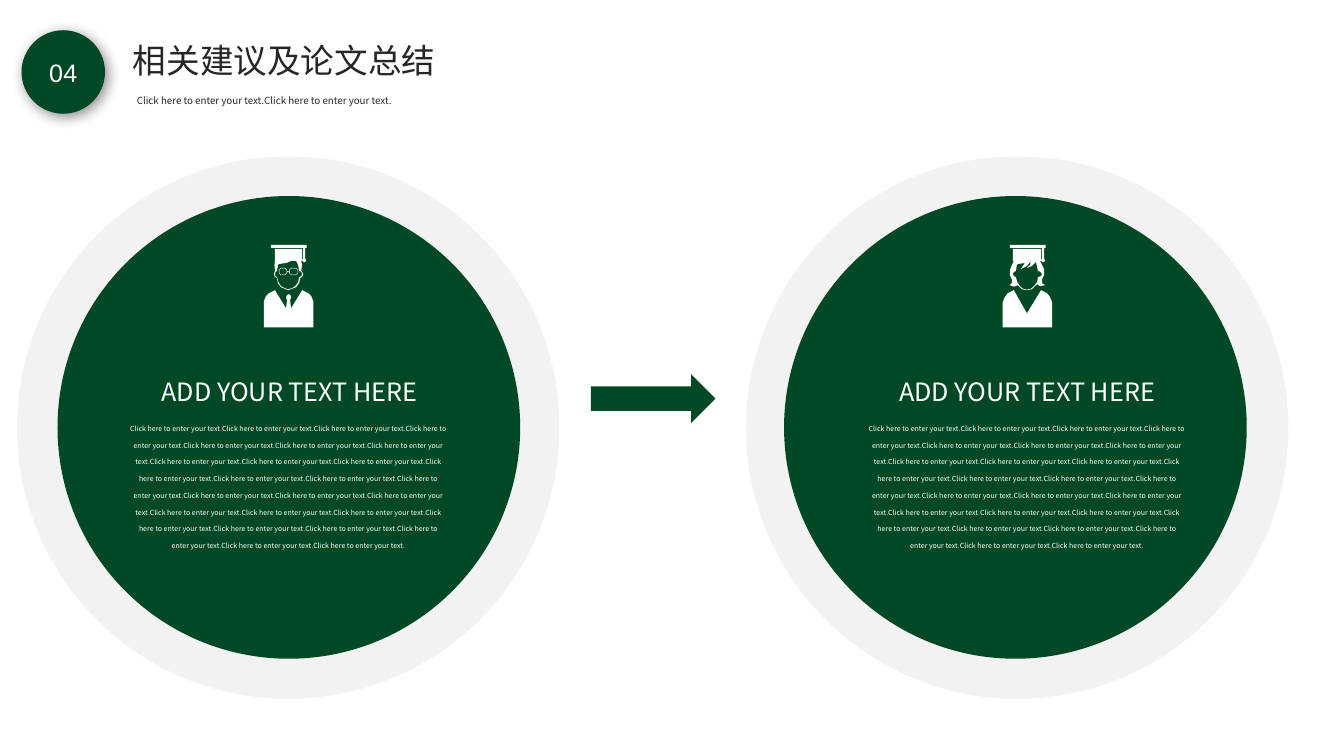
"""Build the summary slide: two graduate discs joined by an arrow."""
import lxml.etree
import pptx
import pptx.dml.color
import pptx.enum.shapes
import pptx.enum.text
import pptx.oxml.ns
import pptx.util

Cm = pptx.util.Cm
Pt = pptx.util.Pt
SHAPES = pptx.enum.shapes.MSO_SHAPE
ALIGN = pptx.enum.text.PP_ALIGN
GROW = pptx.enum.text.MSO_AUTO_SIZE.SHAPE_TO_FIT_TEXT
qn = pptx.oxml.ns.qn

COLORS = {"green": "014924", "ring": "F2F2F2", "white": "FFFFFF", "ink": "262626", "shadow": "000000"}
SANS = "Noto Sans CJK SC"
SENTENCE = "Click here to enter your text."


def paint(shape, color):
    """Give a shape a plain fill without outline or shadow."""
    shape.shadow.inherit = False
    shape.fill.solid()
    shape.fill.fore_color.rgb = pptx.dml.color.RGBColor.from_string(COLORS[color])
    shape.line.fill.background()
    return shape


def write(shape, text, color, frame_format, paragraph_format, font_format):
    """Put one formatted paragraph into a shape."""
    frame = shape.text_frame
    paragraph = frame.paragraphs[0]
    run = paragraph.add_run()
    run.text = text
    for target, values in ((frame, frame_format), (paragraph, paragraph_format), (run.font, font_format)):
        for name, value in values.items():
            setattr(target, name, value)
    run.font.color.rgb = pptx.dml.color.RGBColor.from_string(COLORS[color])
    lxml.etree.SubElement(run._r.get_or_add_rPr(), qn("a:ea"), typeface=font_format["name"])


presentation = pptx.Presentation()
presentation.slide_width = Cm(33.87)
presentation.slide_height = Cm(19.05)
slide = presentation.slides.add_slide(presentation.slide_layouts[6])
shapes = slide.shapes

badge = paint(shapes.add_shape(SHAPES.OVAL, Cm(0.56), Cm(0.78), Cm(2.07), Cm(2.07)), "green")
badge.line.color.rgb = pptx.dml.color.RGBColor.from_string(COLORS["green"])
badge.line.width = Pt(1)
effects = badge._element.spPr.find(qn("a:effectLst"))
shadow = lxml.etree.SubElement(effects, qn("a:outerShdw"), blurRad=str(Pt(10)), dist=str(Pt(3)),
                               dir="2700000", algn="tl", rotWithShape="0")
shadow_color = lxml.etree.SubElement(shadow, qn("a:srgbClr"), val=COLORS["shadow"])
lxml.etree.SubElement(shadow_color, qn("a:alpha"), val="45000")
write(badge, "04", "white", {"vertical_anchor": pptx.enum.text.MSO_ANCHOR.MIDDLE},
      {"alignment": ALIGN.CENTER}, {"name": "Arial", "size": Pt(18)})

title = shapes.add_textbox(Cm(3.1), Cm(0.89), Cm(9.5), Cm(1.28))
write(title, "相关建议及论文总结", "ink", {"word_wrap": True, "auto_size": GROW}, {},
      {"name": SANS, "size": Pt(24)})
subtitle = shapes.add_textbox(Cm(3.2), Cm(1.96), Cm(8.18), Cm(0.86))
write(subtitle, SENTENCE * 2, "ink", {"word_wrap": True, "auto_size": GROW},
      {"alignment": ALIGN.JUSTIFY, "line_spacing": 2.0}, {"name": SANS, "size": Pt(7)})

paint(shapes.add_shape(SHAPES.RIGHT_ARROW, Cm(14.89), Cm(9.43), Cm(3.14), Cm(1.23)), "green")

tassel = [[(39, 3), (39, 13), (38, 16), (40, 17.5), (42, 16), (41, 13), (41, 3)]]
man_body = [[(49, 56), (47, 51), (44, 48), (38, 45), (27, 63), (26, 55), (27, 52), (26.5, 50), (25, 49),
             (23, 50), (22, 52), (23, 55), (22, 63), (11, 45), (5, 48), (2, 51), (0, 56), (0, 82), (49, 82)]]
man_head = [
    [(10, 29), (11, 32), (13, 33), (14, 38), (17, 42), (24, 45), (32, 42), (35, 38), (36, 33), (38, 32),
     (39, 29), (37, 25), (38, 20), (37, 16), (38, 16), (38, 4), (11, 4), (11, 16), (10.5, 20), (11, 26)],
    [(13, 26), (14, 20), (15, 19), (22, 18), (27, 16), (32, 16), (34, 20), (35, 26), (37, 26.5),
     (38, 29), (37, 31), (35, 32), (34, 37), (31, 41), (28, 43), (24, 44), (21, 43), (17, 41),
     (14.5, 37), (13, 32), (11.5, 31), (11, 29), (11.5, 27)],
]
glasses = [
    [(16.5, 30), (21, 30), (23, 28), (23, 27), (25, 27), (25, 28), (27, 30), (32, 30), (34, 28), (34, 25),
     (32, 23), (27, 23), (25, 25), (25, 26.3), (23, 26.3), (23, 25), (21, 23), (16.5, 23), (15, 25), (15, 28)],
    [(16.7, 29.5), (20.8, 29.5), (22.5, 28), (22.5, 25), (20.8, 23.5), (16.7, 23.5), (15.5, 25), (15.5, 28)],
    [(27.2, 29.5), (31.8, 29.5), (33.5, 28), (33.5, 25), (31.8, 23.5), (27.2, 23.5), (25.5, 25), (25.5, 28)],
]
woman_body = [[(49, 57), (47, 52), (44, 48), (38, 45), (24, 68), (11, 45), (5, 48), (2, 52), (0, 57),
               (0, 82), (49, 82)]]
woman_head = [
    [(15, 40), (19, 44), (24, 45), (29, 44), (34, 39), (37, 41), (42, 40), (39, 38), (39, 34), (41, 30),
     (41, 24), (38, 18), (37, 16), (38, 16), (38, 4), (10, 4), (10, 16), (11, 16), (10, 18), (7.5, 24),
     (7, 30), (9, 34), (9, 38), (7, 40), (11, 41.5)],
    [(11, 27), (13, 26), (14, 20), (15, 19), (22, 18), (18, 24), (24, 21), (28, 16), (27, 20), (24, 23),
     (29, 21), (33, 17), (35, 26), (37, 26.5), (39, 29), (38, 31), (35, 32), (34, 37), (31, 41), (28, 43.5),
     (24, 44.5), (20, 43.5), (17, 41), (14.5, 37), (13, 32), (11, 31), (10, 29)],
]

sides = [
    {"ring": 0.43, "disc": 1.45, "icon": 6.65, "heading": 3.61, "body": 3.02,
     "outlines": [man_body, man_head, glasses, tassel]},
    {"ring": 18.8, "disc": 19.76, "icon": 25.27, "heading": 22.2, "body": 21.63,
     "outlines": [tassel, woman_head, woman_body]},
]
for side in sides:
    paint(shapes.add_shape(SHAPES.OVAL, Cm(side["ring"]), Cm(3.94), Cm(13.67), Cm(13.67)), "ring")
    paint(shapes.add_shape(SHAPES.OVAL, Cm(side["disc"]), Cm(4.94), Cm(11.66), Cm(11.66)), "green")

    graduate = shapes.add_group_shape().shapes
    paint(graduate.add_shape(SHAPES.RECTANGLE, Cm(side["icon"] + 0.18), Cm(6.17), Cm(0.9), Cm(0.08)), "white")
    for outline in side["outlines"]:
        builder = None
        for contour in outline:
            points = [(x * 10, y * 10) for x, y in contour]
            if builder is None:
                builder = graduate.build_freeform(*points[0], scale=Cm(2.54) / 1000)
            else:
                builder.move_to(*points[0])
            builder.add_line_segments(points[1:], close=True)
        paint(builder.convert_to_shape(Cm(side["icon"]), Cm(6.17)), "white")

    heading = shapes.add_textbox(Cm(side["heading"]), Cm(8.97), Cm(7.37), Cm(1.4))
    write(heading, "ADD YOUR TEXT HERE", "white", {"word_wrap": False, "auto_size": GROW},
          {"alignment": ALIGN.CENTER, "line_spacing": 1.5}, {"name": SANS, "size": Pt(18)})
    body = shapes.add_textbox(Cm(side["body"]), Cm(10.36), Cm(8.52), Cm(3.68))
    write(body, SENTENCE * 26, "white", {"word_wrap": True, "auto_size": GROW},
          {"alignment": ALIGN.CENTER, "line_spacing": 2.0}, {"name": SANS, "size": Pt(5)})

presentation.save("out.pptx")
